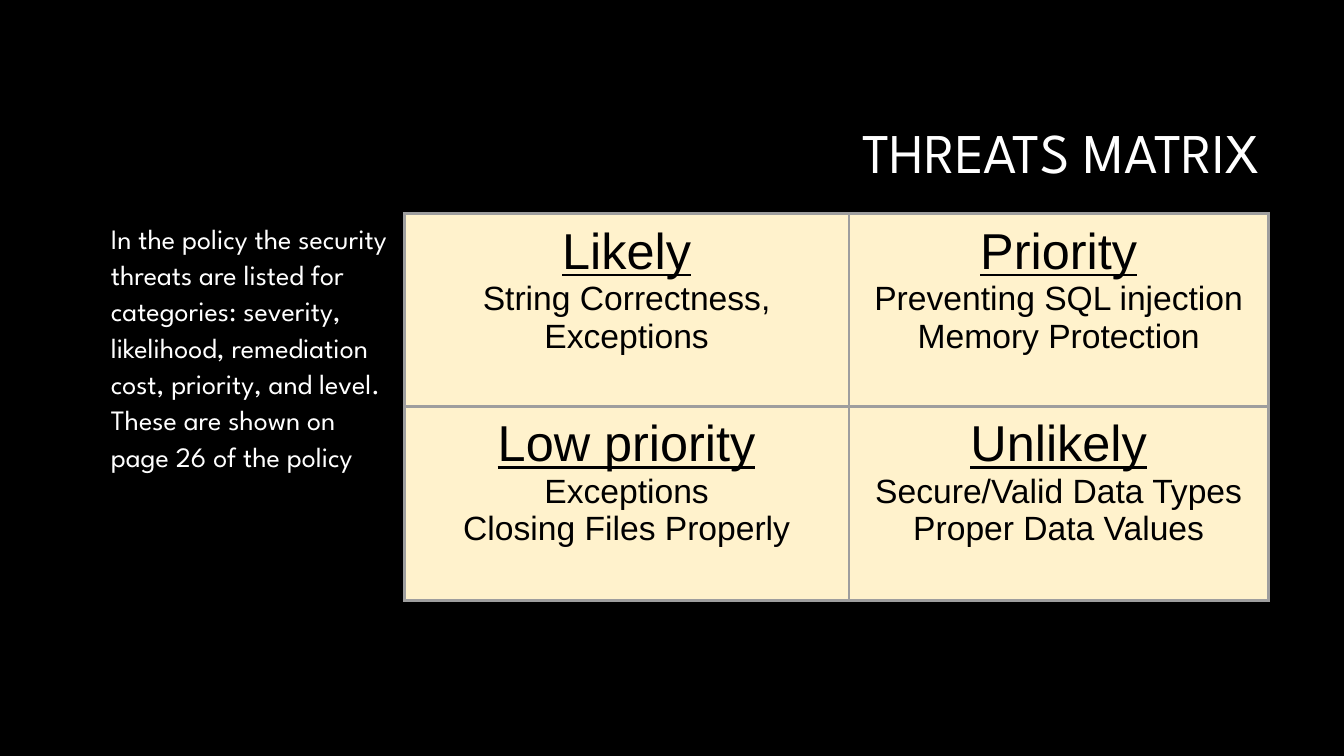
from pptx import Presentation
from pptx.dml.color import RGBColor as Rgb
from pptx.enum.text import MSO_ANCHOR as Anchor, MSO_AUTO_SIZE as Fit, PP_ALIGN as Align
from pptx.oxml.ns import qn
from pptx.util import Inches, Pt
from lxml.etree import SubElement as Sub

FACE = "League Spartan"
MATRIX = [
    [("Likely", "String Correctness,", "Exceptions"),
     ("Priority", "Preventing SQL injection", "Memory Protection")],
    [("Low priority", "Exceptions", "Closing Files Properly"),
     ("Unlikely", "Secure/Valid Data Types", "Proper Data Values")],
]
POLICY = ("In the policy the security threats are listed for categories: severity, "
          "likelihood, remediation cost, priority, and level. These are shown on "
          "page 26 of the policy")


def paint(fill, color):
    fill.solid()
    fill.fore_color.rgb = Rgb.from_string(color)


def style(para, face, size, color, align):
    para.alignment = align
    para.font.name = face
    para.font.size = Pt(size)
    para.font.color.rgb = Rgb.from_string(color)


def place(holder, box, text, size, align, anchor, space):
    holder.left, holder.top, holder.width, holder.height = map(Inches, box)
    frame = holder.text_frame
    frame.text = text
    frame.word_wrap = True
    frame.auto_size = Fit.NONE
    frame.vertical_anchor = anchor
    para = frame.paragraphs[0]
    props = para._p.get_or_add_pPr()
    props.set("marL", str(Inches(0.25) if align == Align.LEFT else 0))
    props.set("indent", "0")
    Sub(props, qn("a:buNone"))
    para.line_spacing = space
    para.space_before = Pt(0)
    style(para, FACE, size, "FFFFFF", align)


def border(cell, color, width):
    props = cell._tc.get_or_add_tcPr()
    for side in ("lnL", "lnR", "lnT", "lnB"):
        line = Sub(props, qn(f"a:{side}"), w=str(Pt(width)))
        fill = Sub(line, qn("a:solidFill"))
        Sub(fill, qn("a:srgbClr"), val=color)


def fill_cell(cell, lines):
    cell.margin_left = cell.margin_right = Inches(0.1)
    cell.margin_top = cell.margin_bottom = Inches(0.1)
    border(cell, "9E9E9E", 2.25)
    paint(cell.fill, "FFF2CC")
    cell.text_frame.text = "\n".join(lines)
    for i, para in enumerate(cell.text_frame.paragraphs):
        style(para, "Arial", 24 if i else 36, "000000", Align.CENTER)
        para.font.underline = i == 0


def add_matrix(slide, box, cols, rows):
    table = slide.shapes.add_table(len(rows), len(cols), *map(Inches, box)).table
    table.first_row = table.horz_banding = False
    for col, width in zip(table.columns, cols):
        col.width = Inches(width)
    for row, height, texts in zip(table.rows, rows, MATRIX):
        row.height = Inches(height)
        for cell, lines in zip(row.cells, texts):
            fill_cell(cell, lines)


def main():
    deck = Presentation()
    deck.slide_width, deck.slide_height = Inches(13.33), Inches(7.5)
    slide = deck.slides.add_slide(deck.slide_layouts[1])
    paint(slide.background.fill, "000000")
    title, body = slide.placeholders
    place(title, (3.17, 0.84, 9.42, 1.41), "THREATS MATRIX", 40,
          Align.RIGHT, Anchor.MIDDLE, 0.9)
    place(body, (0.75, 2.12, 3.23, 4.4), POLICY, 20,
          Align.LEFT, Anchor.TOP, 1.08)
    add_matrix(slide, (4.01, 2.12, 8.57, 3.84), (4.41, 4.16), (1.91, 1.93))
    deck.save("out.pptx")


if __name__ == "__main__":
    main()
